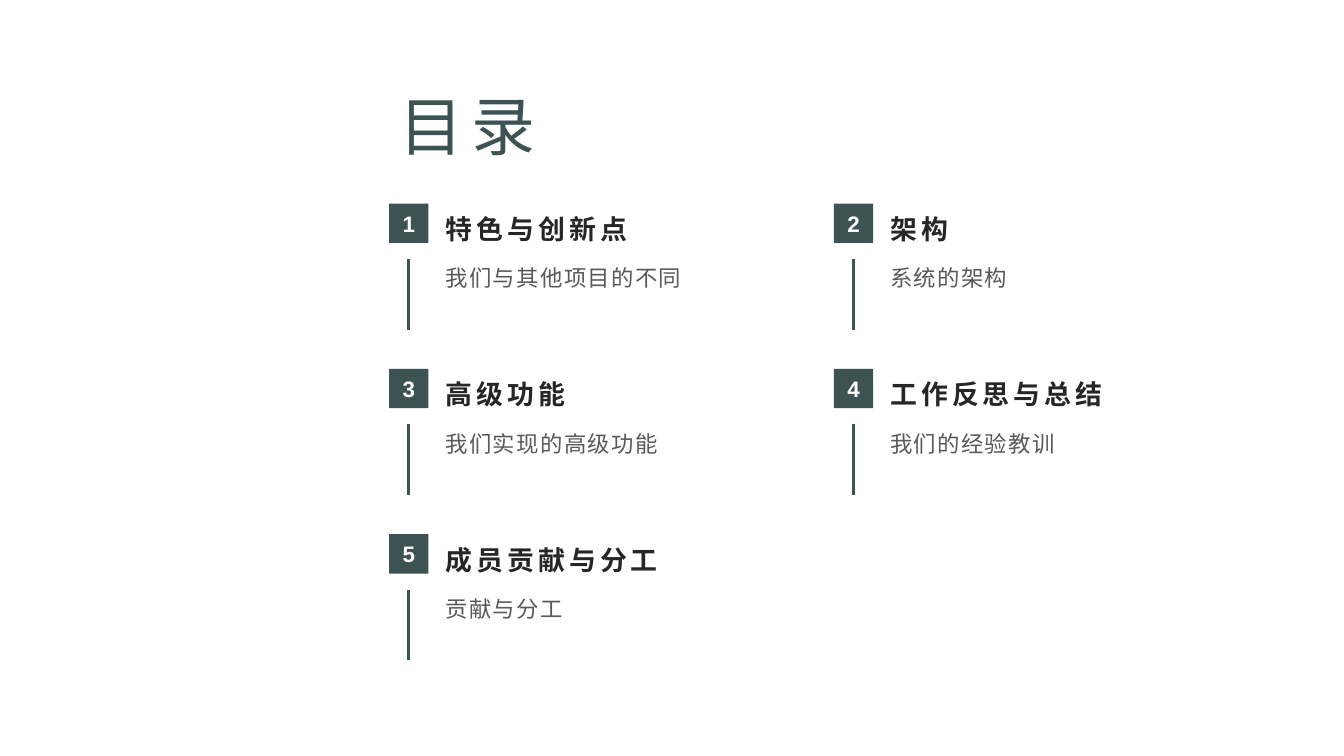
"""Build a contents slide with five numbered entries in two columns."""
from dataclasses import dataclass

from lxml import etree
from pptx import Presentation
from pptx.dml.color import RGBColor
from pptx.enum.shapes import MSO_CONNECTOR, MSO_SHAPE
from pptx.enum.text import MSO_ANCHOR, MSO_AUTO_SIZE, PP_ALIGN
from pptx.oxml.ns import qn
from pptx.util import Inches, Pt

RECTANGLE = MSO_SHAPE.RECTANGLE
STRAIGHT = MSO_CONNECTOR.STRAIGHT
TOP, MIDDLE, BOTTOM = MSO_ANCHOR.TOP, MSO_ANCHOR.MIDDLE, MSO_ANCHOR.BOTTOM
LEFT, CENTER = PP_ALIGN.LEFT, PP_ALIGN.CENTER
NO_AUTOFIT = MSO_AUTO_SIZE.NONE

TITLE_ONLY_LAYOUT = 5
COLUMN_COUNT = 2
FIRST_LEFT, FIRST_TOP = 3.86, 2.02
COLUMN_STEP, ROW_STEP = 4.41, 1.64
BADGE_SIZE = 0.39
TEXT_OFFSET, TEXT_WIDTH = 0.56, 2.76
HEADING_OFFSET, HEADING_HEIGHT = 0.04, 0.37
DETAIL_OFFSET, DETAIL_HEIGHT = 0.55, 0.72
RULE_LENGTH = 0.7

ENTRIES = [
    ("特色与创新点", "我们与其他项目的不同"),
    ("架构", "系统的架构"),
    ("高级功能", "我们实现的高级功能"),
    ("工作反思与总结", "我们的经验教训"),
    ("成员贡献与分工", "贡献与分工"),
]


@dataclass(frozen=True)
class Theme:
    accent: str = "3C5253"
    heading: str = "262626"
    detail: str = "595959"
    on_accent: str = "FFFFFF"
    number_font: str = "Arial"
    text_font: str = "Noto Sans CJK SC"
    title_size: float = 45.6
    heading_size: float = 19.2
    body_size: float = 16
    title_tracking: float = 5.7
    heading_tracking: float = 2.9
    detail_tracking: float = 1
    line_spacing: float = 1.2
    rule_width: float = 2


def write_text(shape, text, *, size, color, font, bold=False, tracking=0,
               align=LEFT, anchor=TOP, inset=0, line_spacing=1.0):
    frame = shape.text_frame
    frame.word_wrap = True
    frame.auto_size = NO_AUTOFIT
    frame.vertical_anchor = anchor
    frame.margin_left = frame.margin_right = Inches(inset)
    frame.margin_top = frame.margin_bottom = Inches(inset)
    paragraph = frame.paragraphs[0]
    paragraph.alignment = align
    paragraph.line_spacing = line_spacing
    run = paragraph.add_run()
    run.text = text
    run.font.size = Pt(size)
    run.font.bold = bold
    run.font.color.rgb = RGBColor.from_string(color)
    run.font.name = font
    properties = run._r.get_or_add_rPr()
    properties.set("spc", str(round(tracking * 100)))
    etree.SubElement(properties, qn("a:ea")).set("typeface", font)


class ContentsSlide:
    def __init__(self, slide, theme):
        self.slide = slide
        self.theme = theme

    def title(self, text, left, top, width, height):
        shape = self.slide.shapes.title
        shape.left, shape.top = Inches(left), Inches(top)
        shape.width, shape.height = Inches(width), Inches(height)
        write_text(shape, text, size=self.theme.title_size, color=self.theme.accent,
                   font=self.theme.text_font, tracking=self.theme.title_tracking,
                   anchor=MIDDLE, inset=0.05, line_spacing=self.theme.line_spacing)

    def badge(self, number, left, top):
        shape = self.slide.shapes.add_shape(
            RECTANGLE, Inches(left), Inches(top), Inches(BADGE_SIZE), Inches(BADGE_SIZE))
        shape.shadow.inherit = False
        shape.fill.solid()
        shape.fill.fore_color.rgb = RGBColor.from_string(self.theme.accent)
        shape.line.fill.background()
        write_text(shape, str(number), size=self.theme.body_size,
                   color=self.theme.on_accent, font=self.theme.number_font,
                   bold=True, align=CENTER, anchor=MIDDLE, inset=0.05)

    def rule(self, left, top):
        connector = self.slide.shapes.add_connector(
            STRAIGHT, Inches(left), Inches(top), Inches(left), Inches(top + RULE_LENGTH))
        connector.line.color.rgb = RGBColor.from_string(self.theme.accent)
        connector.line.width = Pt(self.theme.rule_width)
        etree.SubElement(connector._element.spPr, qn("a:effectLst"))

    def text_box(self, text, left, top, height, **text_format):
        shape = self.slide.shapes.add_textbox(
            Inches(left), Inches(top), Inches(TEXT_WIDTH), Inches(height))
        write_text(shape, text, font=self.theme.text_font, **text_format)

    def entry(self, number, heading, detail, left, top):
        theme = self.theme
        self.rule(left + BADGE_SIZE / 2, top + DETAIL_OFFSET)
        self.badge(number, left, top)
        self.text_box(heading, left + TEXT_OFFSET, top + HEADING_OFFSET, HEADING_HEIGHT,
                      size=theme.heading_size, color=theme.heading, bold=True,
                      tracking=theme.heading_tracking, anchor=BOTTOM)
        self.text_box(detail, left + TEXT_OFFSET, top + DETAIL_OFFSET, DETAIL_HEIGHT,
                      size=theme.body_size, color=theme.detail,
                      tracking=theme.detail_tracking, line_spacing=theme.line_spacing)


def main():
    presentation = Presentation()
    presentation.slide_width = Inches(13.33)
    presentation.slide_height = Inches(7.5)
    layout = presentation.slide_layouts[TITLE_ONLY_LAYOUT]
    contents = ContentsSlide(presentation.slides.add_slide(layout), Theme())
    contents.title("目录", 3.91, 0.67, 7.57, 0.99)
    for index, (heading, detail) in enumerate(ENTRIES):
        row, column = divmod(index, COLUMN_COUNT)
        contents.entry(index + 1, heading, detail,
                       FIRST_LEFT + column * COLUMN_STEP, FIRST_TOP + row * ROW_STEP)
    presentation.save("out.pptx")


if __name__ == "__main__":
    main()
